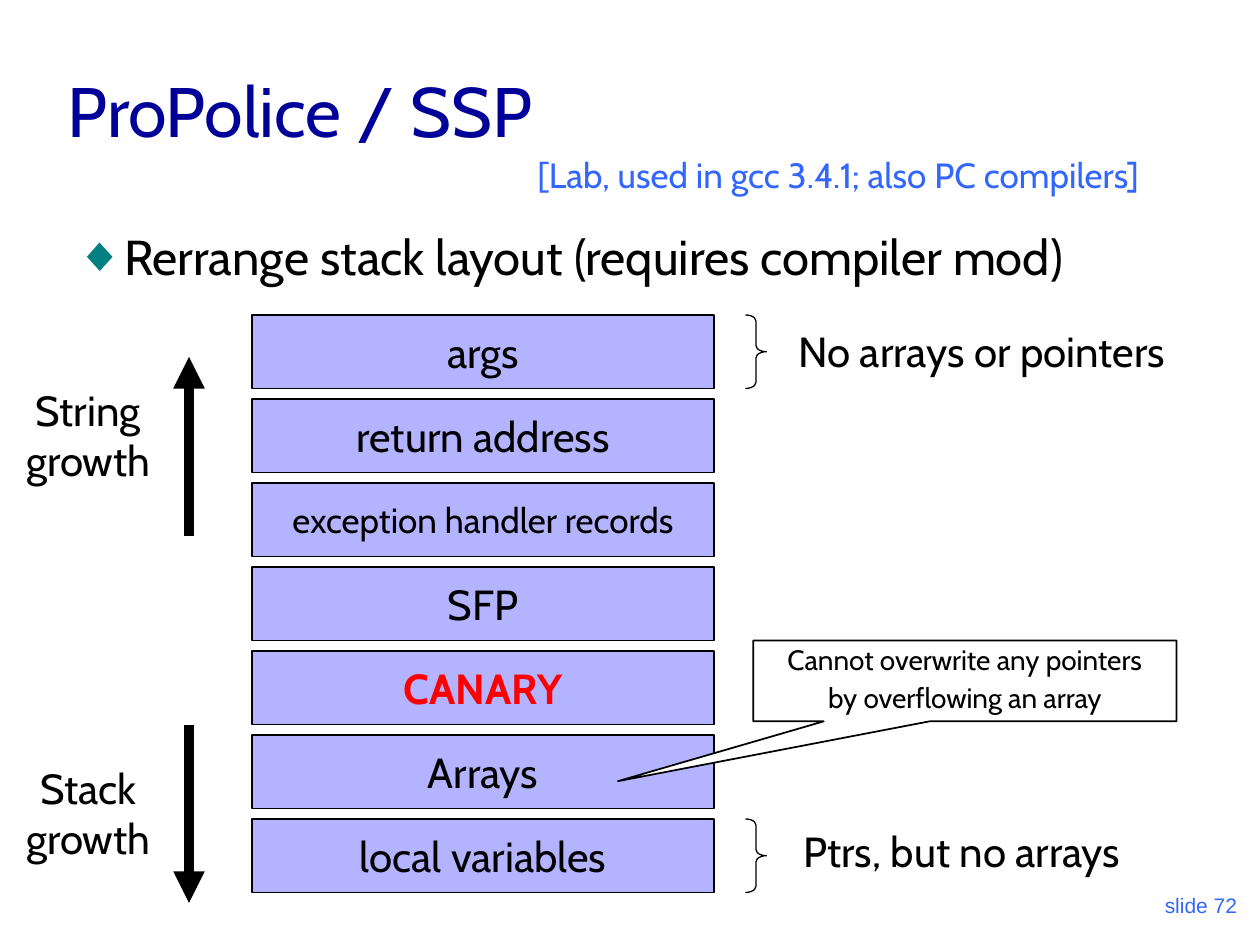
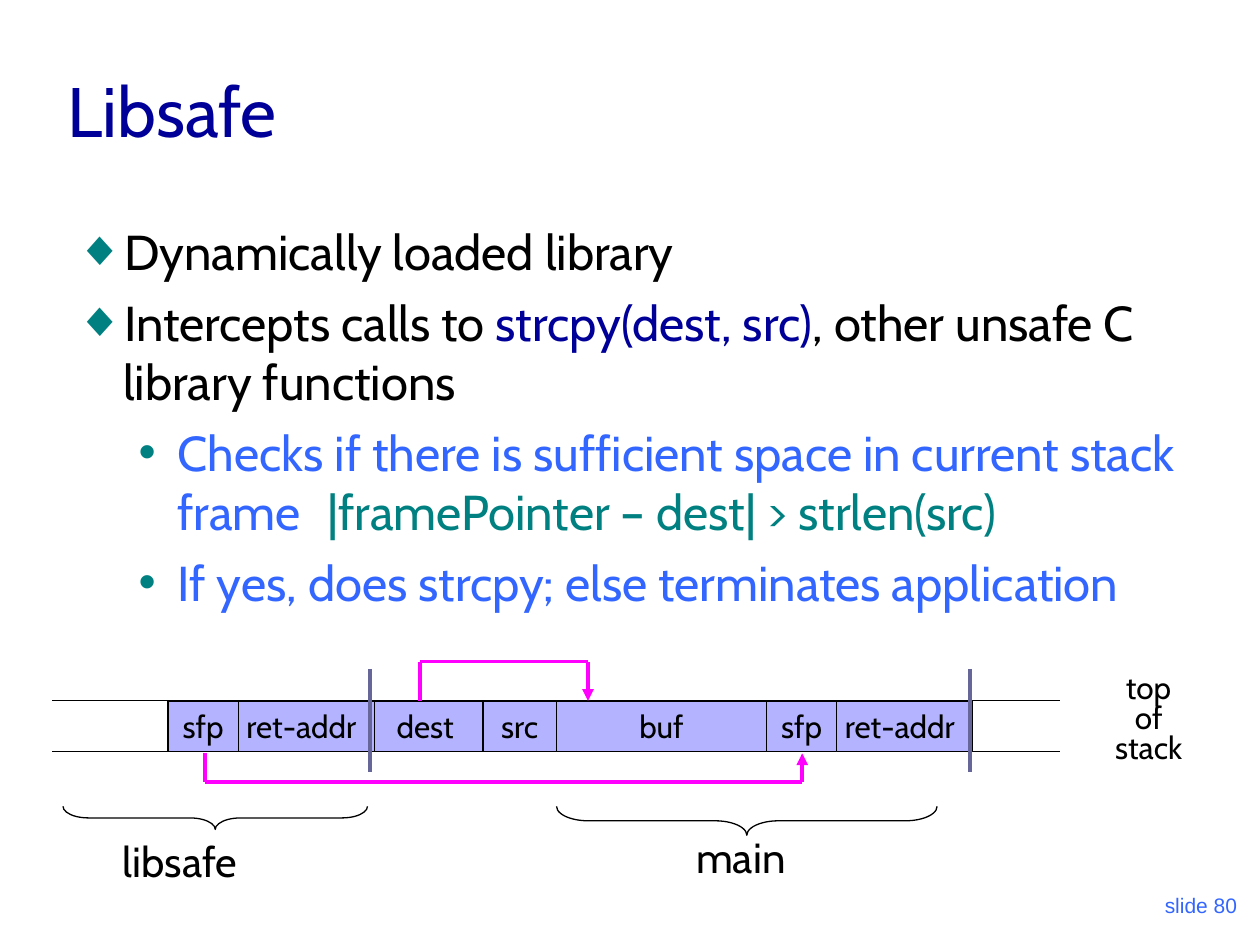
"""Build two slides on stack protection: ProPolice and Libsafe."""
import lxml.etree
import pptx
import pptx.dml.color
import pptx.enum.shapes
import pptx.enum.text
import pptx.oxml.ns
import pptx.util

COLUMNS, ROWS = 120, 90
UNIT = pptx.util.Inches(10) / COLUMNS
FONT = "Cabin"
BLACK, WHITE, RED = "000000", "FFFFFF", "FF0000"
NAVY, BLUE, TEAL = "000099", "3366FF", "008080"
LILAC, SLATE, MAGENTA = "B3B3FF", "666699", "FF00FF"
SHAPES = pptx.enum.shapes.MSO_SHAPE
ALIGN = pptx.enum.text.PP_ALIGN
ANCHOR = pptx.enum.text.MSO_ANCHOR
BULLETS = {0: ("◆", 0.38, 0.38), 1: ("•", 0.81, 0.31)}


def grid(*counts):
    """Turn counts of grid units into slide lengths."""
    return [pptx.util.Emu(round(count * UNIT)) for count in counts]


def color(value):
    """Return the colour for a hex string."""
    return pptx.dml.color.RGBColor.from_string(value)


def add_element(parent, tag, **attributes):
    """Append a drawing element to its parent and return it."""
    return lxml.etree.SubElement(parent, pptx.oxml.ns.qn(tag), attributes)


def add_span(para, text, size, ink=BLACK, bold=False, font=FONT):
    """Append one formatted run."""
    span = para.add_run()
    span.text = text
    span.font.name = font
    span.font.size = pptx.util.Pt(size)
    span.font.bold = bold
    span.font.color.rgb = color(ink)


def write(box, text, size, ink=BLACK, bold=False, align=ALIGN.CENTER,
          anchor=ANCHOR.TOP, wrap=False, spacing=1.0, font=FONT):
    """Fill a box with one paragraph, breaking it at line ends."""
    frame = box.text_frame
    frame.word_wrap = wrap
    frame.vertical_anchor = anchor
    para = frame.paragraphs[0]
    para.alignment = align
    para.line_spacing = spacing
    for number, line in enumerate(text.split("\n")):
        if number:
            para.add_line_break()
        add_span(para, line, size, ink, bold, font)


def add_label(page, area, text, size=24, **style):
    """Add free text on the grid."""
    box = page.shapes.add_textbox(*grid(*area))
    write(box, text, size, **style)


def add_box(page, area, fill=None, kind=SHAPES.RECTANGLE, weight=0.75):
    """Add an outlined preset shape."""
    box = page.shapes.add_shape(kind, *grid(*area))
    box.shadow.inherit = False
    if fill:
        box.fill.solid()
        box.fill.fore_color.rgb = color(fill)
    else:
        box.fill.background()
    box.line.color.rgb = color(BLACK)
    box.line.width = pptx.util.Pt(weight)
    return box


def add_cell(page, area, text, size, ink=BLACK, bold=False):
    """Add one labelled cell of stack memory."""
    write(add_box(page, area, LILAC), text, size, ink, bold, anchor=ANCHOR.MIDDLE)


def add_side_brace(page, left, top, height):
    """Add a brace that points right."""
    brace = add_box(page, (left, top, 2, height), kind=SHAPES.RIGHT_BRACE)
    brace.adjustments[0] = 0.29


def add_under_brace(page, left, top, width, depth):
    """Add a brace that points down, by turning a right brace."""
    area = (left + (width - depth) / 2, top - (width - depth) / 2, depth, width)
    brace = add_box(page, area, kind=SHAPES.RIGHT_BRACE)
    brace.rotation = 90
    brace.adjustments[0] = 1.1


def add_path(page, points, ink=BLACK, weight=0.75, arrow=False):
    """Join points with straight lines, the last one optionally an arrow."""
    for start, end in zip(points, points[1:]):
        line = page.shapes.add_connector(
            pptx.enum.shapes.MSO_CONNECTOR.STRAIGHT, *grid(*start, *end))
        line.line.color.rgb = color(ink)
        line.line.width = pptx.util.Pt(weight)
        if arrow and end == points[-1]:
            add_element(line.line._get_or_add_ln(), "a:tailEnd", type="triangle")
        add_element(line._element.spPr, "a:effectLst")


def place(holder, area):
    """Move a placeholder to an area of the grid."""
    holder.left, holder.top, holder.width, holder.height = grid(*area)
    holder.text_frame.auto_size = pptx.enum.text.MSO_AUTO_SIZE.NONE


def add_bullets(page, area, items):
    """Fill the body placeholder from (level, spans) items."""
    body = page.placeholders[1]
    place(body, area)
    frame = body.text_frame
    for number, (level, spans) in enumerate(items):
        para = frame.add_paragraph() if number else frame.paragraphs[0]
        para.level = level
        para.line_spacing = 1.0
        para.space_before = pptx.util.Pt(7 if number else 0)
        mark, margin, hanging = BULLETS[level]
        properties = para._p.get_or_add_pPr()
        properties.set("marL", str(pptx.util.Inches(margin)))
        properties.set("indent", str(-pptx.util.Inches(hanging)))
        bullet_color = add_element(properties, "a:buClr")
        add_element(bullet_color, "a:srgbClr", val=TEAL)
        add_element(properties, "a:buChar", char=mark)
        tabs = add_element(properties, "a:tabLst")
        for inch in range(1, 9):
            add_element(tabs, "a:tab", pos=str(pptx.util.Inches(inch)), algn="l")
        for text, ink in spans:
            add_span(para, text, 28, ink)


def add_page(deck, title, number):
    """Add a slide with its title and slide number."""
    page = deck.slides.add_slide(deck.slide_layouts[1])
    place(page.shapes.title, (5.25, 3, 102, 12))
    write(page.shapes.title, title, 40, NAVY, align=ALIGN.LEFT,
          anchor=ANCHOR.BOTTOM, wrap=True)
    add_label(page, (94, 82, 25, 6), f"slide {number}", 12, ink=BLUE, font="Arial",
              align=ALIGN.RIGHT, anchor=ANCHOR.BOTTOM, wrap=True)
    return page


def build_propolice(deck):
    """Show the rearranged stack, from arguments down to local variables."""
    page = add_page(deck, "ProPolice / SSP", 72)
    add_bullets(page, (6, 21, 110, 58.5), [
        (0, [("Rerrange stack layout (requires compiler mod)", BLACK)])])
    add_label(page, (50, 14, 68.6, 5.3), "[Lab, used in gcc 3.4.1; also PC compilers]",
              20, ink=BLUE, align=ALIGN.LEFT, wrap=True)

    first, pitch, height = 30, 8, 7
    cells = ["args", "return address", "exception handler records", "SFP",
             "CANARY", "Arrays", "local variables"]
    for row, text in enumerate(cells):
        canary = text == "CANARY"
        add_cell(page, (24, first + row * pitch, 44, height), text,
                 20 if len(text) > 20 else 24, RED if canary else BLACK, canary)

    for text, top, start, end in [("String\ngrowth", 36, 51, 34),
                                  ("Stack\ngrowth", 72, 69, 86)]:
        add_label(page, (0.4, top, 16, 10.8), text)
        add_path(page, [(18, start), (18, end)], weight=6, arrow=True)

    for row in (0, len(cells) - 1):
        add_side_brace(page, 71, first + row * pitch, height)
    add_label(page, (72.25, 30.4, 42.5, 6), "No arrays or pointers")
    add_label(page, (73.1, 78, 37, 6), "Ptrs, but no arrays")

    callout = add_box(page, (71.75, 61, 40.3, 7.7), WHITE,
                      SHAPES.RECTANGULAR_CALLOUT, 1)
    callout.adjustments[0], callout.adjustments[1] = -0.82, 1.24
    lines = ["Cannot overwrite any pointers", "by overflowing an array"]
    write(callout, lines[0], 16, spacing=0.9)
    para = callout.text_frame.add_paragraph()
    para.alignment = ALIGN.CENTER
    para.line_spacing = 0.9
    para.space_before = pptx.util.Pt(4)
    add_span(para, lines[1], 16)


def build_libsafe(deck):
    """Show the Libsafe check and the two stack frames it looks at."""
    page = add_page(deck, "Libsafe", 80)
    add_bullets(page, (6, 20.5, 111, 64.5), [
        (0, [("Dynamically loaded library", BLACK)]),
        (0, [("Intercepts calls to ", BLACK), ("strcpy(dest, src)", NAVY),
             (", other unsafe C library functions", BLACK)]),
        (1, [("Checks if there is sufficient space in current stack frame\t", BLUE),
             ("|framePointer – dest| > strlen(src)", TEAL)]),
        (1, [("If yes, does strcpy; else terminates application", BLUE)])])

    top, height = 66.75, 4.85
    bottom = top + height
    for left in (5, 90):
        for row in (top, bottom):
            add_path(page, [(left, row), (left + 11, row)])
    cells = [("sfp", 16, 6.7), ("ret-addr", 21.75, 13.9), ("dest", 35, 11),
             ("src", 46, 7), ("buf", 53, 20), ("sfp", 73, 6.7),
             ("ret-addr", 78.75, 13.9)]
    for text, left, width in reversed(cells):
        add_cell(page, (left, top, width, height), text, 18)
    for column in (35.25, 92.4):
        add_path(page, [(column, 63.7), (column, 73.5)], SLATE, 2.25)
    add_label(page, (104.6, 63.7, 9.6, 9.9), "top\nof\nstack", 18, spacing=0.8)

    for start, end, edge, turn in [(19.5, 76.4, 71.75, 74.5), (40, 56, top, 63)]:
        add_path(page, [(start, edge), (start, turn), (end, turn), (end, edge)],
                 MAGENTA, 2.25, arrow=True)

    add_under_brace(page, 6, 76.8, 29, 2.2)
    add_label(page, (9.85, 79, 14.6, 6), "libsafe")
    add_under_brace(page, 53, 76.8, 36.25, 2.75)
    add_label(page, (64.6, 78.6, 11.9, 6), "main")


def main():
    """Build the deck and save it."""
    deck = pptx.Presentation()
    deck.slide_width, deck.slide_height = grid(COLUMNS, ROWS)
    build_propolice(deck)
    build_libsafe(deck)
    deck.save("out.pptx")


if __name__ == "__main__":
    main()
